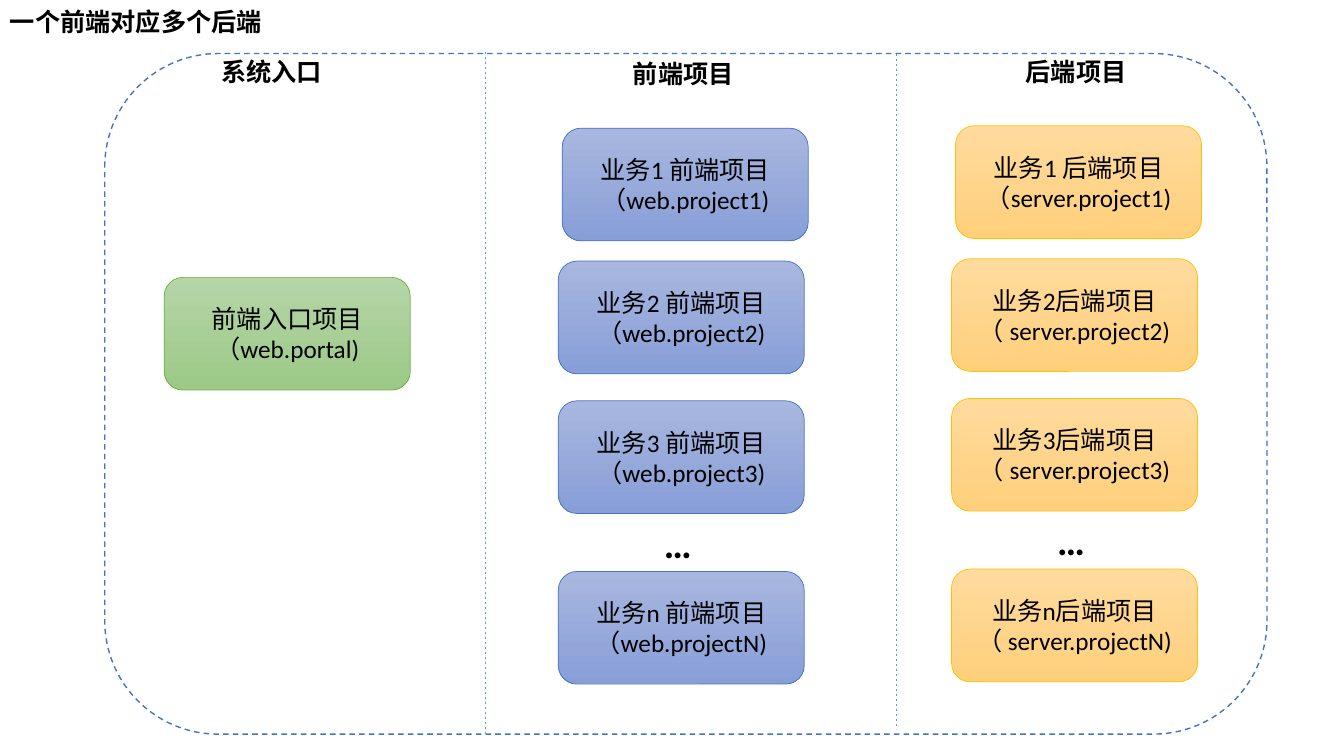
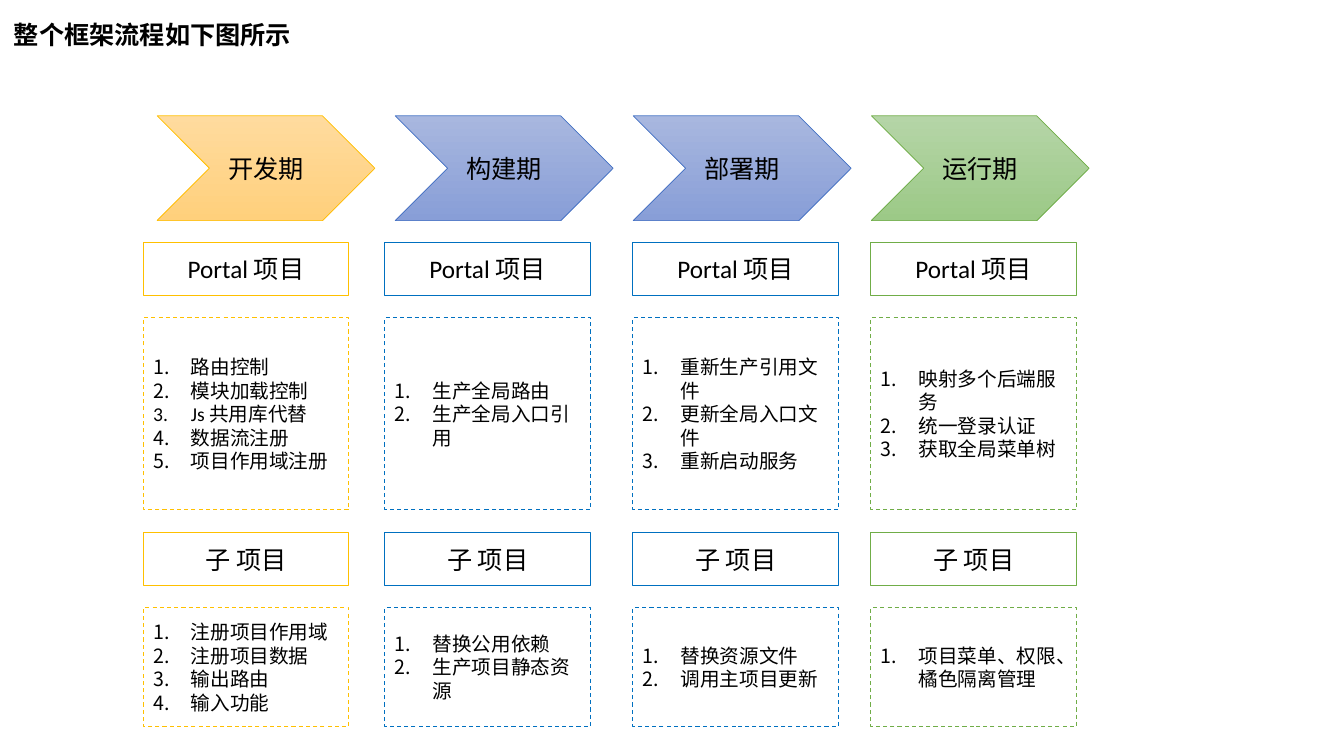
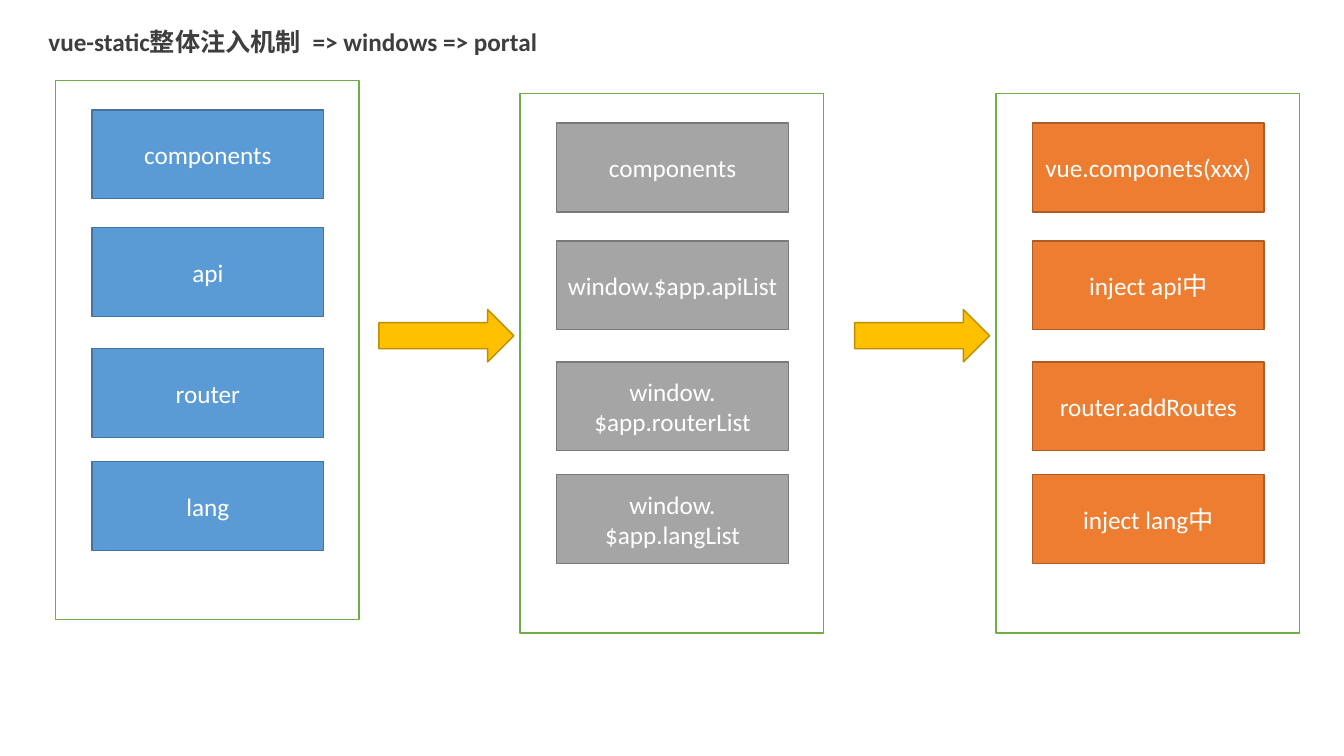
from pptx import Presentation
from pptx.dml.color import RGBColor
from pptx.enum.dml import MSO_LINE
from pptx.enum.shapes import MSO_CONNECTOR, MSO_SHAPE
from pptx.enum.text import MSO_ANCHOR, MSO_AUTO_SIZE, PP_ALIGN
from pptx.oxml.ns import qn
from pptx.util import Cm, Pt
from lxml import etree

ROUND = MSO_SHAPE.ROUNDED_RECTANGLE
RECT = MSO_SHAPE.RECTANGLE
CHEVRON = MSO_SHAPE.CHEVRON
ARROW = MSO_SHAPE.RIGHT_ARROW
STRAIGHT = MSO_CONNECTOR.STRAIGHT
DASH = MSO_LINE.DASH
MIDDLE = MSO_ANCHOR.MIDDLE
GROW = MSO_AUTO_SIZE.SHAPE_TO_FIT_TEXT
LEFT = PP_ALIGN.LEFT
CENTER = PP_ALIGN.CENTER

FONT = "Calibri"
BLACK = RGBColor(0x00, 0x00, 0x00)
WHITE = RGBColor(0xFF, 0xFF, 0xFF)
DARK = RGBColor(0x3E, 0x3E, 0x3E)
BLUE = RGBColor(0x44, 0x72, 0xC4)
SKY = RGBColor(0x5B, 0x9B, 0xD5)
NAVY = RGBColor(0x43, 0x73, 0x9E)
AZURE = RGBColor(0x00, 0x70, 0xC0)
GREEN = RGBColor(0x70, 0xAD, 0x47)
GOLD = RGBColor(0xFF, 0xC0, 0x00)
BRONZE = RGBColor(0xBD, 0x8E, 0x00)
GRAY = RGBColor(0xA5, 0xA5, 0xA5)
SLATE = RGBColor(0x7A, 0x7A, 0x7A)
ORANGE = RGBColor(0xED, 0x7D, 0x31)
RUST = RGBColor(0xAF, 0x5C, 0x24)

BLUES = (RGBColor(0xA8, 0xB7, 0xDF), RGBColor(0x88, 0x9E, 0xD7))
GREENS = (RGBColor(0xB5, 0xD5, 0xA7), RGBColor(0x9C, 0xC9, 0x87))
GOLDS = (RGBColor(0xFF, 0xDB, 0x9E), RGBColor(0xFF, 0xD0, 0x7C))


def put_text(frame, text, size, color, bold=False, align=LEFT):
    frame.text = text
    for para in frame.paragraphs:
        para.alignment = align
        para.font.name = FONT
        para.font.size = Pt(size)
        para.font.bold = bold
        para.font.color.rgb = color


def add_label(slide, box, text, size=18, color=BLACK, wrap=True):
    label = slide.shapes.add_textbox(*map(Cm, box))
    frame = label.text_frame
    frame.word_wrap = wrap
    frame.auto_size = GROW
    put_text(frame, text, size, color, bold=True)


def add_box(slide, kind, box, fill, line, width, text="",
            color=BLACK, size=18, align=CENTER, dash=None):
    shape = slide.shapes.add_shape(kind, *map(Cm, box))
    shape.shadow.inherit = False
    if fill is None:
        shape.fill.background()
    elif isinstance(fill, RGBColor):
        shape.fill.solid()
        shape.fill.fore_color.rgb = fill
    else:
        shape.fill.gradient()
        shape.fill.gradient_angle = 270
        for stop, tone in zip(shape.fill.gradient_stops, fill):
            stop.color.rgb = tone
    shape.line.color.rgb = line
    shape.line.width = Pt(width)
    if dash:
        shape.line.dash_style = dash
    if text:
        shape.text_frame.vertical_anchor = MIDDLE
        put_text(shape.text_frame, text, size, color, align=align)
    return shape


def add_list(slide, box, line, items):
    shape = add_box(slide, RECT, box, None, line, 0.75, "\n".join(items),
                    size=14, align=LEFT, dash=DASH)
    indent = Cm(0.95)
    for para in shape.text_frame.paragraphs:
        props = para._p.get_or_add_pPr()
        props.set("marL", str(indent))
        props.set("indent", str(-indent))
        number = etree.Element(qn("a:buAutoNum"), type="arabicPeriod")
        props.insert_element_before(number, "a:tabLst", "a:defRPr", "a:extLst")


def add_rule(slide, x, top, end):
    rule = slide.shapes.add_connector(STRAIGHT, Cm(x), Cm(top), Cm(x), Cm(end))
    rule.line.color.rgb = SKY
    rule.line.width = Pt(0.5)
    rule.line.dash_style = DASH
    etree.SubElement(rule._element.spPr, qn("a:effectLst"))


def add_stack(slide, left, shift, cards, fill, line):
    tops = (3.23, 6.58, 10.1, 14.4)
    for index, (top, text) in enumerate(zip(tops, cards)):
        x = left if index else left + 0.1
        add_box(slide, ROUND, (x, top + shift, 6.2, 2.84), fill, line, 0.5, text)
    add_label(slide, (left + 2.41, 12.95 + shift, 1.4, 1.45), "…", size=28)


def build_projects(slide):
    add_box(slide, ROUND, (2.64, 1.35, 29.29, 17.15), WHITE, BLUE, 1, dash=DASH)
    add_rule(slide, 12.22, 1.3, 18.49)
    add_rule(slide, 22.58, 1.35, 18.36)
    heads = ((5.33, 1.3, "系统入口"), (15.7, 1.35, "前端项目"),
             (25.6, 1.3, "后端项目"))
    for x, y, text in heads:
        add_label(slide, (x, y, 3.15, 1.02), text)
    add_box(slide, ROUND, (4.14, 6.99, 6.2, 2.84), GREENS, GREEN, 0.5,
            "前端入口项目\n（web.portal)")
    front = [f"业务{key} 前端项目\n（web.project{key.upper()})" for key in "123n"]
    back = ["业务1 后端项目\n（server.project1)"]
    back += [f"业务{key}后端项目\n（ server.project{key.upper()})" for key in "23n"]
    add_stack(slide, 14.07, 0, front, BLUES, BLUE)
    add_stack(slide, 23.98, -0.06, back, GOLDS, GOLD)
    add_label(slide, (0, 0.03, 11.33, 1.02), "一个前端对应多个后端")


def build_phases(slide):
    phases = (
        ("开发期", 3.61, GOLDS, GOLD, GOLD,
         ("路由控制", "模块加载控制", "Js 共用库代替", "数据流注册", "项目作用域注册"),
         ("注册项目作用域", "注册项目数据", "输出路由", "输入功能")),
        ("构建期", 9.7, BLUES, BLUE, AZURE,
         ("生产全局路由", "生产全局入口引用"),
         ("替换公用依赖", "生产项目静态资源")),
        ("部署期", 15.95, BLUES, BLUE, AZURE,
         ("重新生产引用文件", "更新全局入口文件", "重新启动服务"),
         ("替换资源文件", "调用主项目更新")),
        ("运行期", 21.95, GREENS, GREEN, GREEN,
         ("映射多个后端服务", "统一登录认证", "获取全局菜单树"),
         ("项目菜单、权限、橘色隔离管理",)),
    )
    for index, (name, x, fill, edge, line, portal, child) in enumerate(phases):
        add_box(slide, CHEVRON, (3.96 + 6 * index, 2.92, 5.49, 2.64),
                fill, edge, 0.5, name)
        groups = (("Portal 项目", 6.1, 4.85, portal), ("子 项目", 13.41, 3, child))
        for head, y, height, items in groups:
            add_box(slide, RECT, (x, y, 5.18, 1.35), None, line, 0.75, head)
            add_list(slide, (x, y + 1.9, 5.18, height), line, items)
    add_label(slide, (0.1, 0.36, 7.57, 1.02), "整个框架流程如下图所示", wrap=False)


def build_inject(slide):
    add_label(slide, (0.97, 0.53, 15.01, 1.02),
              "vue-static整体注入机制  => windows => portal",
              color=DARK, wrap=False)
    panels = (
        (1.4, 2.03, SKY, NAVY, ("components", "api", "router", "lang")),
        (13.11, 2.36, GRAY, SLATE,
         ("components", "window.$app.apiList", "window.$app.routerList",
          "window.$app.langList")),
        (25.1, 2.36, ORANGE, RUST,
         ("vue.componets(xxx)", "inject api中", "router.addRoutes",
          "inject lang中")),
    )
    steps = (0.74, 3.71, 6.76, 9.6)
    for x, y, fill, line, names in panels:
        add_box(slide, RECT, (x, y, 7.65, 13.59), WHITE, GREEN, 1)
        for step, name in zip(steps, names):
            add_box(slide, RECT, (x + 0.92, y + step, 5.84, 2.24),
                    fill, line, 1, name, color=WHITE)
    for x in (9.55, 21.54):
        add_box(slide, ARROW, (x, 7.8, 3.4, 1.32), GOLD, BRONZE, 1)


def main():
    deck = Presentation()
    deck.slide_width = Cm(33.87)
    deck.slide_height = Cm(19.05)
    for build in (build_projects, build_phases, build_inject):
        build(deck.slides.add_slide(deck.slide_layouts[6]))
    deck.save("out.pptx")


main()
